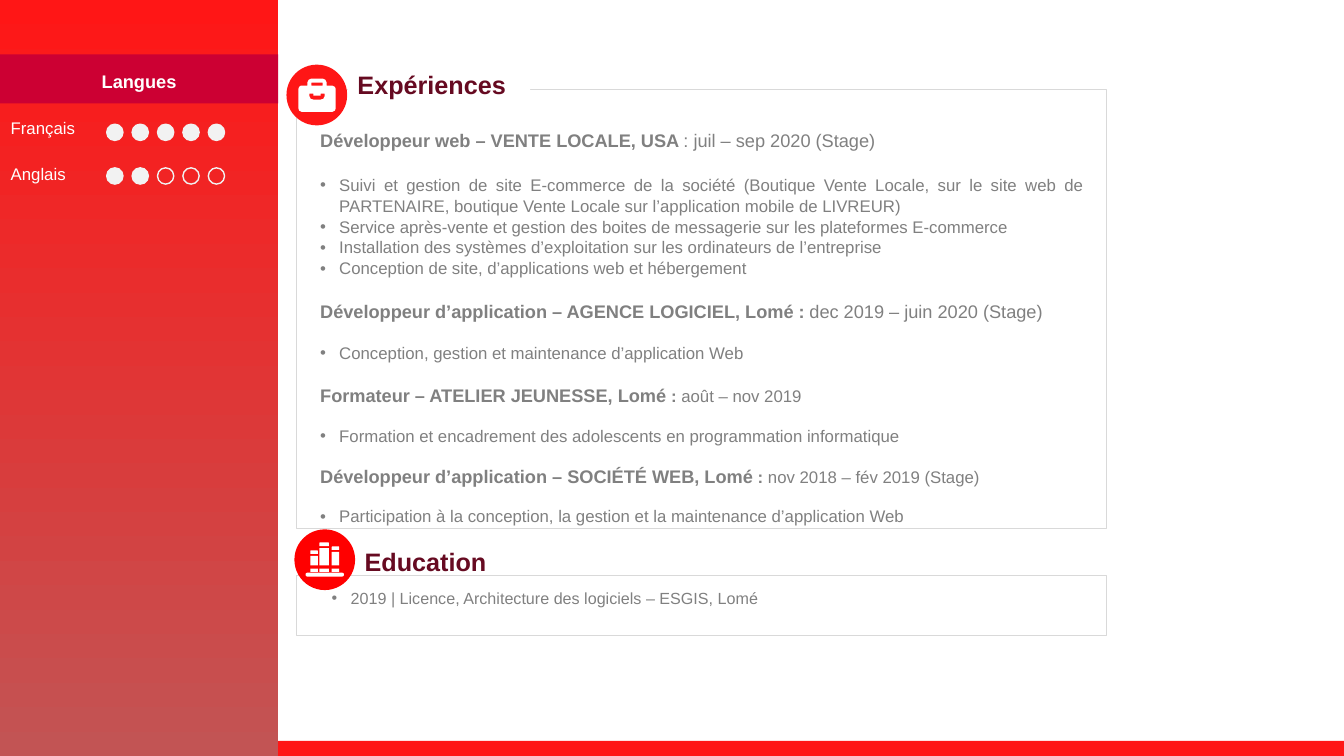
"""Build a résumé slide with languages, experience and education."""
from pptx import Presentation
from pptx.dml.color import RGBColor
from pptx.enum.shapes import MSO_SHAPE as KIND
from pptx.enum.text import MSO_ANCHOR, PP_ALIGN
from pptx.oxml.ns import qn
from pptx.util import Cm, Pt
from lxml.etree import SubElement

HUES = {"red": "FF1616", "pure": "FF0000", "rust": "C25454", "band": "CC0033",
        "wine": "660A21", "gray": "808080", "rule": "D9D9D9", "dot": "F2F2F2",
        "white": "FFFFFF"}
FONT = "Arial"
LANGS = [("Français", 5, 2.84, 3.13), ("Anglais", 2, 4.01, 4.23)]
LEVELS = 5
JOBS = [
    {"role": "Développeur web – VENTE LOCALE, USA ", "date": ": juil – sep 2020 (Stage)",
     "colon": "", "size": 13, "gaps": (0, 15.75),
     "tasks": ["Suivi et gestion de site E-commerce de la société (Boutique Vente Locale, "
               "sur le site web de PARTENAIRE, boutique Vente Locale sur l’application mobile de LIVREUR)",
               "Service après-vente et gestion des boites de messagerie sur les plateformes E-commerce",
               "Installation des systèmes d’exploitation sur les ordinateurs de l’entreprise",
               "Conception de site, d’applications web et hébergement"]},
    {"role": "Développeur d’application – AGENCE LOGICIEL, Lomé ", "colon": ": ",
     "date": "dec 2019 – juin 2020 (Stage)", "size": 13, "gaps": (15, 14),
     "tasks": ["Conception, gestion et maintenance d’application Web"]},
    {"role": "Formateur – ATELIER JEUNESSE, Lomé ", "colon": ": ",
     "date": "août – nov 2019", "size": 12, "gaps": (15, 13),
     "tasks": ["Formation et encadrement des adolescents en programmation informatique"]},
    {"role": "Développeur d’application – SOCIÉTÉ WEB, Lomé ", "colon": ": ",
     "date": "nov 2018 – fév 2019 (Stage)", "size": 12, "gaps": (13.5, 13),
     "tasks": ["Participation à la conception, la gestion et la maintenance d’application Web"]},
]
STUDY = "2019 | Licence, Architecture des logiciels – ESGIS, Lomé"
BOOKS = [(7.82, 0.19, 13.87), (8.05, 0.24, 13.67), (8.36, 0.19, 13.77)]
CASE = [
    [(758, 216), (775, 216), (775, 207), (778, 201), (785, 198), (813, 198), (820, 201),
     (823, 207), (823, 216), (838, 216), (844, 219), (846, 224), (846, 273), (844, 279),
     (838, 282), (760, 282), (754, 279), (752, 273), (752, 224), (754, 219)],
    [(785, 208), (813, 208), (813, 216), (785, 216)],
    [(780, 236), (790, 236), (790, 241), (808, 241), (808, 236), (818, 236), (818, 243),
     (815, 249), (808, 251), (790, 251), (783, 249), (780, 243)],
]

deck = Presentation()
deck.slide_width, deck.slide_height = Cm(33.87), Cm(19.05)
slide = deck.slides.add_slide(deck.slide_layouts[6])
shapes = slide.shapes


def hue(name):
    return RGBColor.from_string(HUES[name])


def paint(shape, fill=None, line=None, width=0.25):
    shape.shadow.inherit = False
    if fill:
        shape.fill.solid()
        shape.fill.fore_color.rgb = hue(fill)
    else:
        shape.fill.background()
    if line:
        shape.line.color.rgb = hue(line)
        shape.line.width = Pt(width)
    else:
        shape.line.fill.background()
    return shape


def draw(kind, x, y, w, h, fill=None, line=None, width=0.25):
    shape = shapes.add_shape(kind, Cm(x), Cm(y), Cm(w), Cm(h))
    return paint(shape, fill, line, width)


def style(font, size, color, bold=False):
    font.name, font.size, font.bold = FONT, Pt(size), bold
    font.color.rgb = hue(color)


def frame(shape, wrap=True):
    text = shape.text_frame
    text.word_wrap = wrap
    text.vertical_anchor = MSO_ANCHOR.TOP
    text.paragraphs[0].alignment = PP_ALIGN.LEFT
    return text


def write(shape, words, size, color, bold=False, wrap=True):
    para = frame(shape, wrap).paragraphs[0]
    para.text = words
    style(para.font, size, color, bold)
    return para


def bullet(para, left):
    props = para._p.get_or_add_pPr()
    props.set("marL", str(Cm(left)))
    props.set("indent", str(-Cm(0.48)))
    SubElement(props, qn("a:buFont")).set("typeface", FONT)
    SubElement(props, qn("a:buChar")).set("char", "•")


def label(x, y, w, h, words, size, color, bold=False, wrap=True):
    box = shapes.add_textbox(Cm(x), Cm(y), Cm(w), Cm(h))
    write(box, words, size, color, bold, wrap)


def list_jobs(text):
    first = True
    for job in JOBS:
        before, after = job["gaps"]
        para = text.paragraphs[0] if first else text.add_paragraph()
        para.alignment, para.line_spacing = PP_ALIGN.LEFT, 1.04
        if not first:
            para.space_before = Pt(before)
        first = False
        for words, size, bold in ((job["role"], 13, True), (job["colon"], job["size"], True),
                                  (job["date"], job["size"], False)):
            if words:
                run = para.add_run()
                run.text = words
                style(run.font, size, "gray", bold)
        for i, task in enumerate(job["tasks"]):
            para = text.add_paragraph()
            para.text = task
            para.alignment, para.line_spacing = PP_ALIGN.JUSTIFY, 1.04
            para.space_before = Pt(0 if i else after)
            bullet(para, 0.48)
            style(para.font, 12, "gray")


draw(KIND.RECTANGLE, 0, 18.67, 33.87, 0.38, "red")
side = draw(KIND.RECTANGLE, 0, 0, 7.01, 19.05, "red")
side.fill.gradient()
side.fill.gradient_angle = 270
for stop, place, name in zip(side.fill.gradient_stops, (0, 1), ("red", "rust")):
    stop.position, stop.color.rgb = place, hue(name)

draw(KIND.RECTANGLE, 7.47, 2.24, 20.4, 11.07, line="rule")
list_jobs(frame(draw(KIND.RECTANGLE, 7.82, 3.12, 19.76, 10.06, "white")))
draw(KIND.OVAL, 7.22, 1.63, 1.53, 1.53, "red")
pen = shapes.build_freeform(*CASE[0][0], scale=Cm(0.01))
for i, ring in enumerate(CASE):
    if i:
        pen.move_to(*ring[0])
    pen.add_line_segments(ring[1:], close=True)
paint(pen.convert_to_shape(), "white")
write(draw(KIND.RECTANGLE, 8.76, 1.63, 4.6, 1.02, "white"), "Expériences", 18, "wine", True)

study = draw(KIND.RECTANGLE, 7.47, 14.5, 20.4, 1.52, line="rule")
study.text_frame.margin_top = Cm(0.33)
bullet(study.text_frame.paragraphs[0], 1.12)
write(study, STUDY, 11.5, "gray")
draw(KIND.RECTANGLE, 9.12, 13.87, 3.61, 0.23, "white")
label(8.94, 13.64, 9.35, 1.02, "Education", 18, "wine", True)
draw(KIND.OVAL, 7.42, 13.34, 1.53, 1.53, "pure")
for x, w, top in BOOKS:
    draw(KIND.ROUND_2_SAME_RECTANGLE, x, top, w, 0.09, "white")
    draw(KIND.RECTANGLE, x, top + 0.14, w, 14.25 - top - 0.14, "white")
    draw(KIND.RECTANGLE, x, 14.33, w, 0.08, "white")
shelf = draw(KIND.ROUNDED_RECTANGLE, 7.7, 14.43, 0.97, 0.1, "white")
shelf.adjustments[0] = 0.5

band = draw(KIND.RECTANGLE, 0, 1.37, 7.01, 1.24, "band")
head = write(band, "Langues", 13, "white", True)
head.alignment, head.line_spacing = PP_ALIGN.CENTER, 1.5
for name, score, top, row in LANGS:
    label(0.02, top, 2.16, 0.76, name, 12, "white", wrap=False)
    for i in range(LEVELS):
        fill = "dot" if i < score else None
        draw(KIND.FLOWCHART_CONNECTOR, 2.69 + i * 0.64, row, 0.41, 0.41, fill, "dot", 1)

deck.save("out.pptx")
